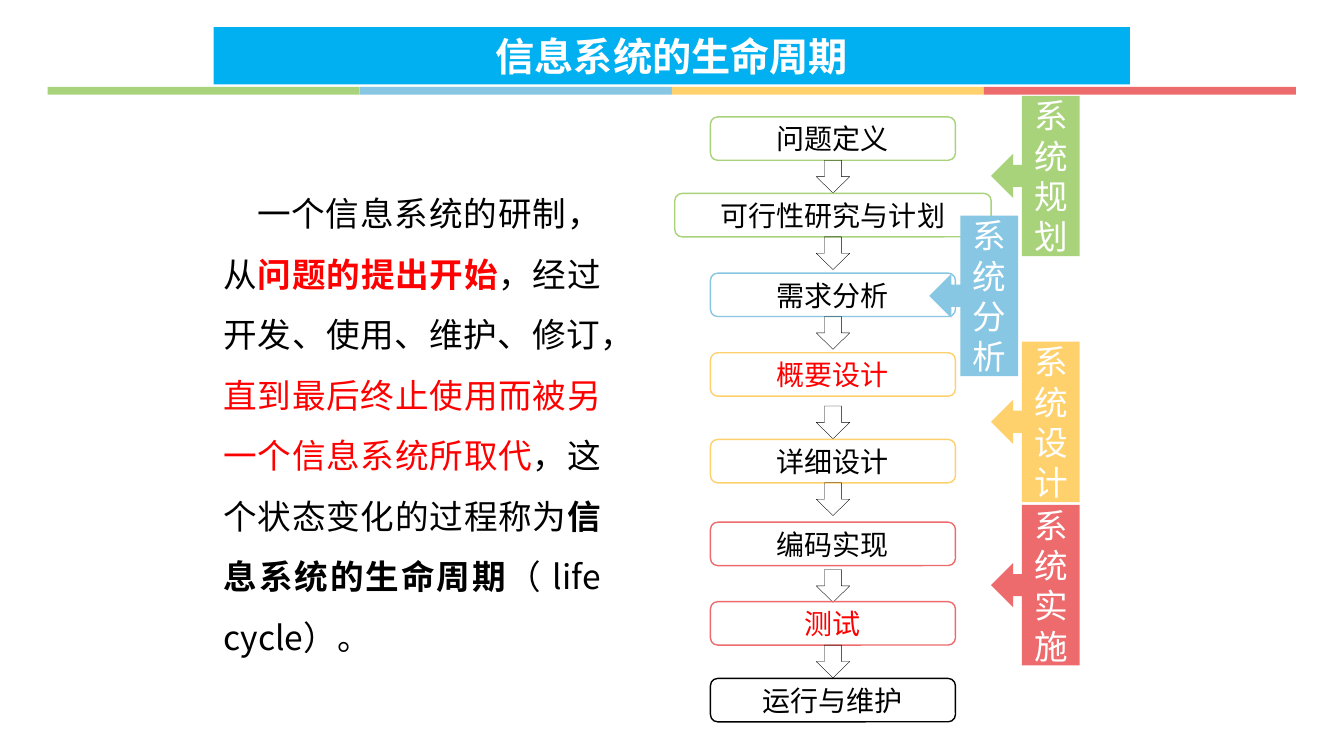
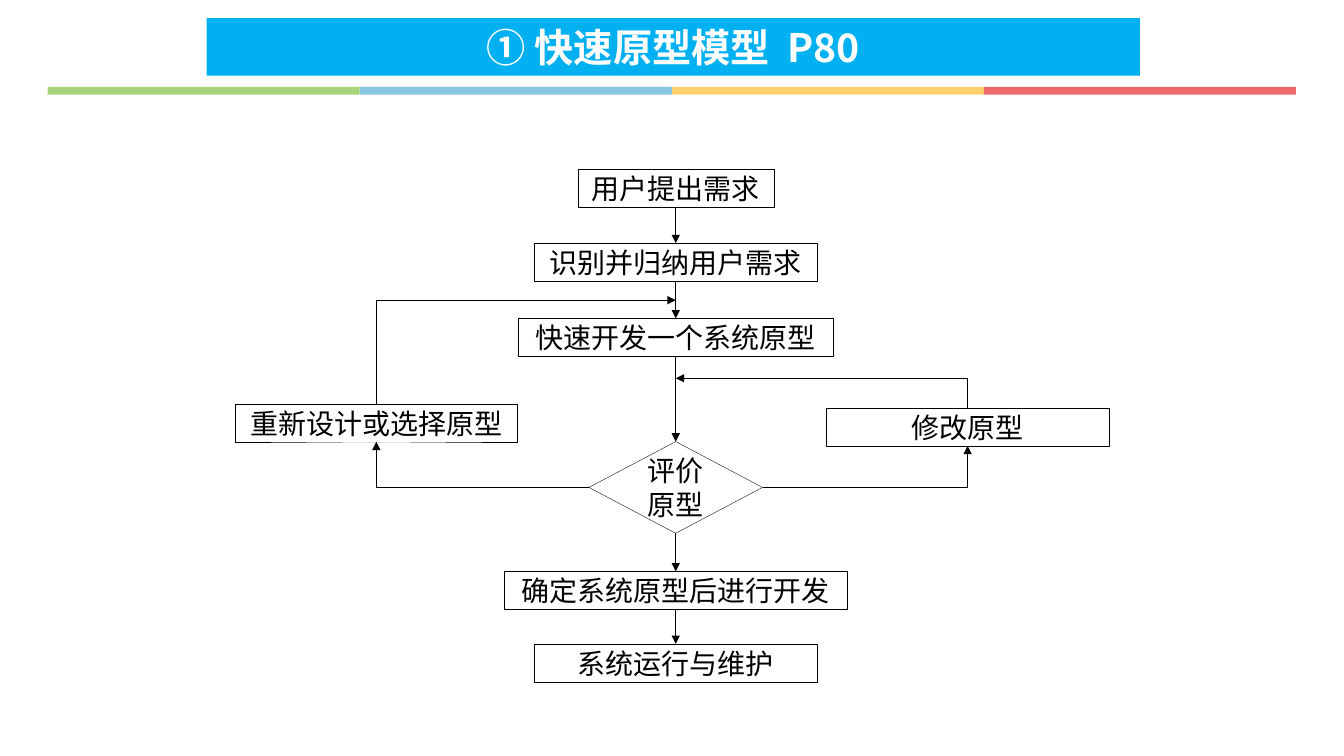
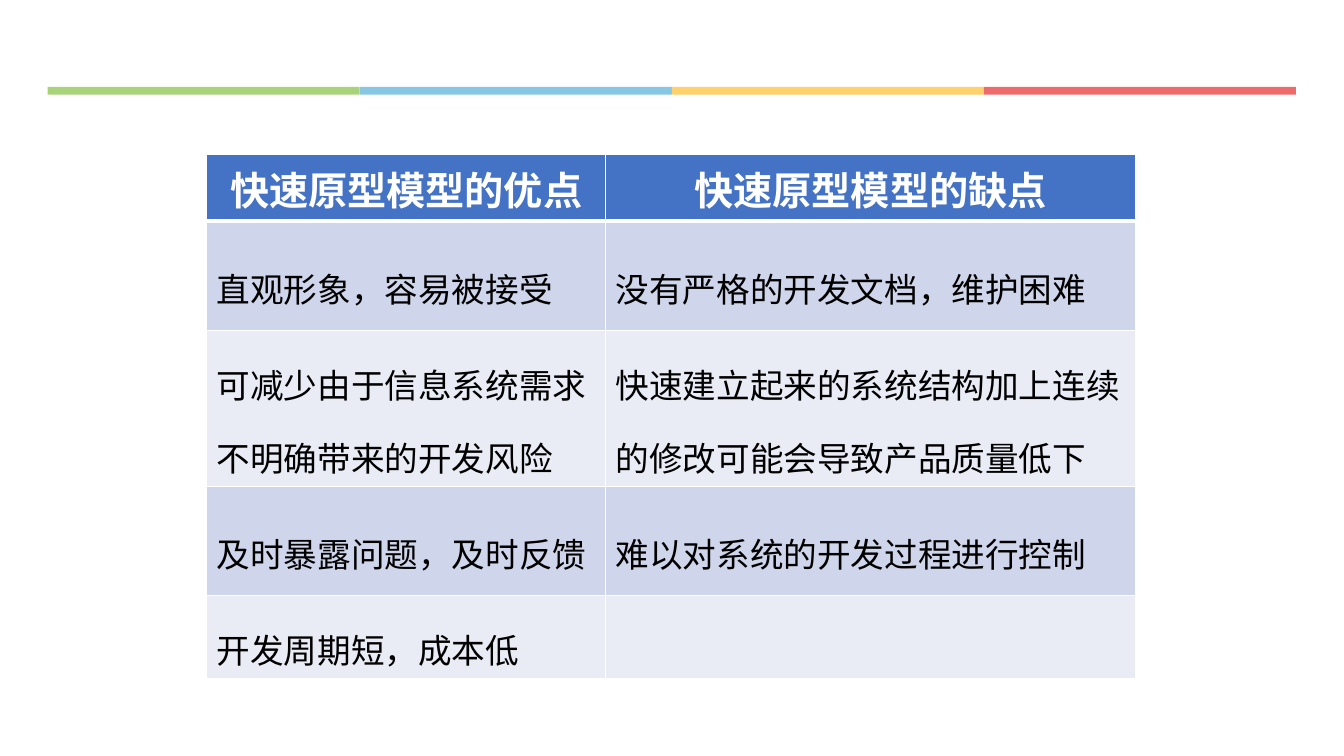
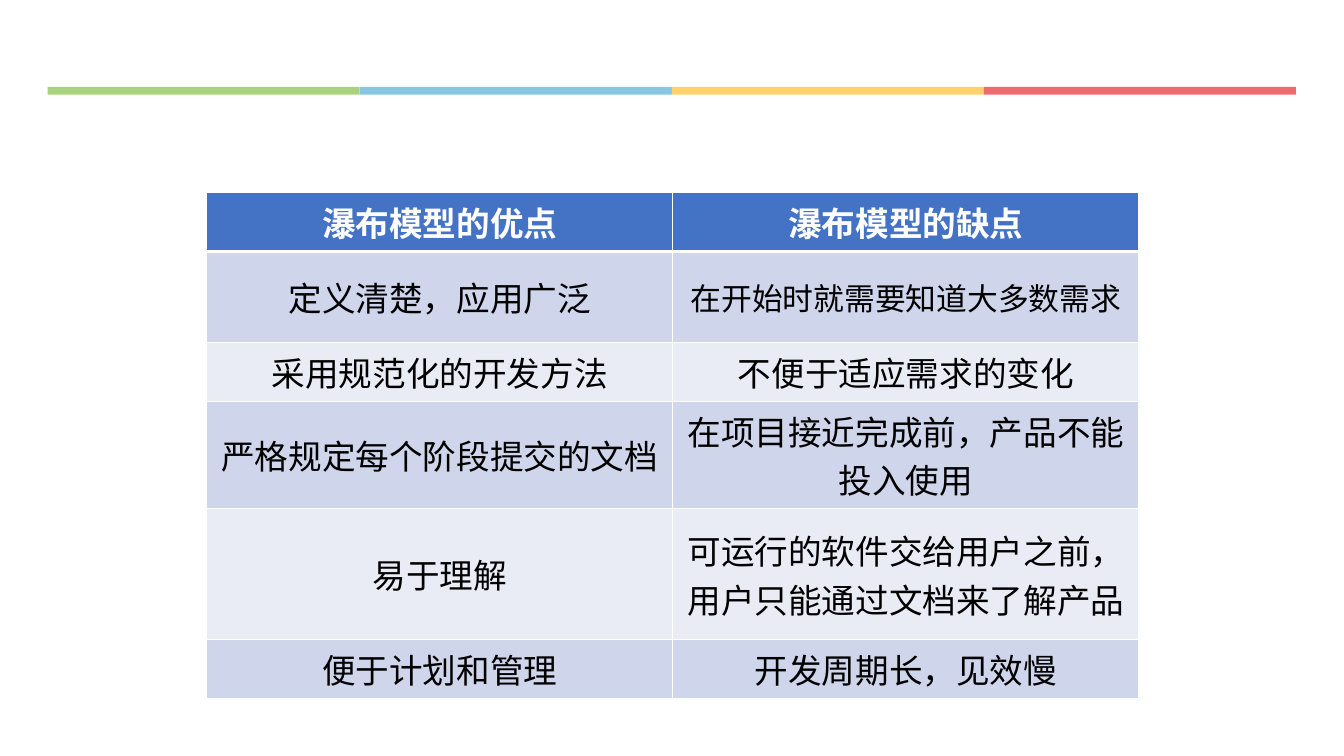
from dataclasses import dataclass

from lxml.etree import SubElement
from pptx import Presentation
from pptx.dml.color import RGBColor as RGB
from pptx.enum.shapes import MSO_CONNECTOR as CXN, MSO_SHAPE as SHAPE
from pptx.enum.text import MSO_ANCHOR as ANCHOR, PP_ALIGN as ALIGN
from pptx.oxml.ns import qn
from pptx.util import Pt

TOP, LEFT, BOTTOM, RIGHT = range(4)  # connection sites


@dataclass(frozen=True)
class Theme:
    font: str = "Noto Sans CJK SC"
    black: str = "000000"
    white: str = "FFFFFF"
    red: str = "FF0000"
    title: str = "00B0F0"
    green: str = "A8D37A"
    blue: str = "87C7E3"
    yellow: str = "FED16C"
    coral: str = "ED6B6D"
    header: str = "4472C4"
    rows: tuple = ("CFD5EA", "E9EBF5")
    title_size: int = 28
    body_size: int = 24
    tight_size: int = 22
    box_size: int = 20
    thin: float = 0.25
    flow: float = 0.5
    outline: float = 1
    rule: float = 3


T = Theme()


# ---- text ----
def apply(obj, fmt):
    for name, value in fmt.items():
        setattr(obj, name, value)


def add_run(p, text, size, color, bold=False):
    r = p.add_run()
    r.text = text
    apply(r.font, dict(name=T.font, size=Pt(size), bold=bold))
    r.font.color.rgb = RGB.from_string(color)
    ea = SubElement(r.font._element, qn("a:ea"))
    ea.set("typeface", T.font)


def set_text(tf, text, size, color, bold=False, anchor=ANCHOR.MIDDLE):
    apply(tf, dict(word_wrap=True, vertical_anchor=anchor))
    p = tf.paragraphs[0]
    p.alignment = ALIGN.CENTER
    add_run(p, text, size, color, bold)


# ---- shapes ----
def add_box(s, kind, x, y, w, h, fill=None, line=None, weight=T.thin):
    sp = s.shapes.add_shape(kind, Pt(x), Pt(y), Pt(w), Pt(h))
    sp.shadow.inherit = False
    if fill:
        sp.fill.solid()
        sp.fill.fore_color.rgb = RGB.from_string(fill)
    else:
        sp.fill.background()
    if line:
        sp.line.color.rgb = RGB.from_string(line)
        sp.line.width = Pt(weight)
    else:
        sp.line.fill.background()
    return sp


def add_title(s, text, x, y, w):
    sp = add_box(s, SHAPE.RECTANGLE, x, y, w, 41, fill=T.title)
    set_text(sp.text_frame, text, T.title_size, T.white, True, ANCHOR.TOP)


def add_band(s, layout):
    """Draw the four-colour band and hand it to the shared layout."""
    for ph in list(layout.placeholders):
        ph.element.getparent().remove(ph.element)
    w = 222.9
    for i, color in enumerate((T.green, T.blue, T.yellow, T.coral)):
        sp = add_box(s, SHAPE.RECTANGLE, 34.1 + i * w, 62, w, 5.6, fill=color)
        layout.shapes.element.append(sp.element)


# ---- connectors ----
def style_arrow(c):
    c.line.color.rgb = RGB.from_string(T.black)
    c.line.width = Pt(T.flow)
    sppr = c.element.spPr
    SubElement(sppr.find(qn("a:ln")), qn("a:tailEnd")).set("type", "triangle")
    SubElement(sppr, qn("a:effectLst"))


def link(s, a, b):
    """Straight arrow from the bottom of a to the top of b."""
    c = s.shapes.add_connector(CXN.STRAIGHT, 0, 0, 0, 0)
    c.begin_connect(a, BOTTOM)
    c.end_connect(b, TOP)
    style_arrow(c)


def add_elbow(s):
    c = s.shapes.add_connector(CXN.ELBOW, 0, 0, 0, 0)
    c.element.spPr.find(qn("a:prstGeom")).set("prst", "bentConnector2")
    return c


def link_side(s, a, site, b):
    """Sideways from a, then up to the bottom of b."""
    c = add_elbow(s)
    c.begin_connect(a, site)
    c.end_connect(b, BOTTOM)
    style_arrow(c)


def link_back(s, a, x, y):
    """Up from the top of a, then sideways to the point x, y."""
    c = add_elbow(s)
    c.begin_connect(a, TOP)
    x1, y1, x2, y2 = c.begin_x, c.begin_y, Pt(x), Pt(y)
    w, h = abs(y2 - y1), abs(x2 - x1)
    apply(c, dict(left=(x1 + x2 - w) // 2, top=(y1 + y2 - h) // 2,
                  width=w, height=h))
    xfrm = c.element.spPr.find(qn("a:xfrm"))
    for flip in ("flipH", "flipV"):
        xfrm.attrib.pop(flip, None)
    xfrm.set("rot", str(270 * 60000))
    if x2 < x1:
        xfrm.set("flipV", "1")
    style_arrow(c)


# ---- tables ----
def set_borders(cell, **widths):
    tcpr = cell._tc.get_or_add_tcPr()
    for i, side in enumerate(("lnL", "lnR", "lnT", "lnB")):
        ln = tcpr.makeelement(qn("a:" + side),
                              {"w": str(Pt(widths.get(side, T.outline)))})
        fill = SubElement(ln, qn("a:solidFill"))
        SubElement(fill, qn("a:srgbClr")).set("val", T.white)
        tcpr.insert(i, ln)


def add_table(s, x, y, cols, heights, rows, head_size, align, spacing=None,
              sizes=None):
    frame = s.shapes.add_table(len(rows), len(cols), Pt(x), Pt(y),
                               Pt(sum(cols)), Pt(sum(heights)))
    table = frame.table
    table.horz_banding = False
    for col, w in zip(table.columns, cols):
        col.width = Pt(w)
    for i, (row, h, texts) in enumerate(zip(table.rows, heights, rows)):
        row.height = Pt(h)
        head = i == 0
        for cell, text in zip(row.cells, texts):
            cell.vertical_anchor = ANCHOR.MIDDLE
            cell.fill.solid()
            cell.fill.fore_color.rgb = RGB.from_string(
                T.header if head else T.rows[(i - 1) % 2])
            set_borders(cell, lnT=T.rule if i == 1 else T.outline,
                        lnB=T.rule if head else T.outline)
            if not text:
                continue
            p = cell.text_frame.paragraphs[0]
            p.alignment = ALIGN.CENTER if head else align
            if head:
                add_run(p, text, head_size, T.white, True)
            else:
                p.line_spacing = spacing
                size = (sizes or {}).get(text, T.body_size)
                add_run(p, text, size, T.black)


# ---- slides ----
def life_cycle(s):
    # definition
    tb = s.shapes.add_textbox(Pt(152.6), Pt(120.2), Pt(283.7), Pt(232.6))
    tb.text_frame.word_wrap = True
    p = tb.text_frame.paragraphs[0]
    apply(p, dict(alignment=ALIGN.JUSTIFY, line_spacing=1.5,
                  space_before=Pt(7)))
    p._p.get_or_add_pPr().set("indent", str(Pt(T.body_size)))
    for text, color, bold in (
            ("一个信息系统的研制，从", T.black, False),
            ("问题的提出开始", T.red, True),
            ("，经过开发、使用、维护、修订，", T.black, False),
            ("直到最后终止使用而被另一个信息系统所取代", T.red, False),
            ("，这个状态变化的过程称为", T.black, False),
            ("信息系统的生命周期", T.black, True),
            ("（ life cycle）。", T.black, False)):
        add_run(p, text, T.body_size, color, bold)

    # steps: label, top, width, outline, text colour, gap before the arrow
    mid, h = 595, 31
    steps = (
        ("问题定义", 83.5, 175, T.green, T.black, 0),
        ("可行性研究与计划", 138.2, 226, T.green, T.black, 0),
        ("需求分析", 195.1, 175, T.blue, T.black, 0),
        ("概要设计", 252, 175, T.yellow, T.red, 7),
        ("详细设计", 313.9, 175, T.yellow, T.black, 0),
        ("编码实现", 373, 175, T.coral, T.black, 2.8),
        ("测试", 429.8, 175, T.coral, T.red, 0),
        ("运行与维护", 484.6, 175, T.black, T.black, None))
    for text, y, w, line, color, gap in steps:
        sp = add_box(s, SHAPE.ROUNDED_RECTANGLE, mid - w / 2, y, w, h,
                     line=line, weight=T.outline)
        set_text(sp.text_frame, text, T.box_size, color)
        if gap is not None:
            add_box(s, SHAPE.DOWN_ARROW, mid - 12, y + h + gap, 24, 23.4,
                    line=T.black)

    add_title(s, "信息系统的生命周期", 152.6, 19.4, 654.5)

    # phases
    for text, x, y, color in (("系统规划", 707.8, 68.4, T.green),
                              ("系统分析", 663.8, 154.1, T.blue),
                              ("系统设计", 707.8, 244.1, T.yellow),
                              ("系统实施", 707.8, 360.7, T.coral)):
        sp = add_box(s, SHAPE.LEFT_ARROW_CALLOUT, x, y, 63.4, 114.5,
                     fill=color)
        set_text(sp.text_frame, text, T.body_size, T.white)


def prototype_flow(s):
    add_title(s, "① 快速原型模型  P80", 147.6, 13, 666.7)
    mid = 482.7

    def node(text, y, w, cx=mid, h=27, kind=SHAPE.RECTANGLE):
        sp = add_box(s, kind, cx - w / 2, y, w, h, line=T.black)
        set_text(sp.text_frame, text, T.box_size, T.black)
        return sp

    # nodes
    request = node("用户提出需求", 121, 140)
    identify = node("识别并归纳用户需求", 173.7, 202)
    build = node("快速开发一个系统原型", 227.4, 225)
    redesign = node("重新设计或选择原型", 288.6, 202, cx=268.8)
    modify = node("修改原型", 291.5, 202, cx=691.2)
    review = node("评价原型", 315.4, 124, h=65.5,
                  kind=SHAPE.FLOWCHART_DECISION)
    develop = node("确定系统原型后进行开发", 408.2, 245)
    operate = node("系统运行与维护", 460, 202)

    # main path
    for a, b in ((request, identify), (identify, build), (build, review),
                 (review, develop), (develop, operate)):
        link(s, a, b)

    # loops back
    for site, box, y in ((LEFT, redesign, 214.4), (RIGHT, modify, 270.2)):
        link_side(s, review, site, box)
        link_back(s, box, mid, y)


def prototype_table(s):
    add_table(s, 147.6, 110.4, (285, 378.5), (45, 77.8, 111.6, 77.8, 57.6), (
        ("快速原型模型的优点", "快速原型模型的缺点"),
        ("直观形象，容易被接受", "没有严格的开发文档，维护困难"),
        ("可减少由于信息系统需求不明确带来的开发风险",
         "快速建立起来的系统结构加上连续的修改可能会导致产品质量低下"),
        ("及时暴露问题，及时反馈", "难以对系统的开发过程进行控制"),
        ("开发周期短，成本低", "")),
        T.title_size, ALIGN.LEFT, spacing=1.5)


def waterfall_table(s):
    early = "在开始时就需要知道大多数需求"
    add_table(s, 147.6, 137.7, (333, 333), (36, 64.8, 36.7, 64.8, 93.6, 38.2), (
        ("瀑布模型的优点", "瀑布模型的缺点"),
        ("定义清楚，应用广泛", early),
        ("采用规范化的开发方法", "不便于适应需求的变化"),
        ("严格规定每个阶段提交的文档", "在项目接近完成前，产品不能投入使用"),
        ("易于理解", "可运行的软件交给用户之前，用户只能通过文档来了解产品"),
        ("便于计划和管理", "开发周期长，见效慢")),
        T.body_size, ALIGN.CENTER, sizes={early: T.tight_size})


def main():
    prs = Presentation()
    prs.slide_width, prs.slide_height = Pt(960), Pt(540)
    blank = prs.slide_layouts[6]
    builders = (life_cycle, prototype_flow, prototype_table, waterfall_table)
    for i, build in enumerate(builders):
        s = prs.slides.add_slide(blank)
        if i == 0:
            add_band(s, blank)
        build(s)
    prs.save("out.pptx")


if __name__ == "__main__":
    main()
